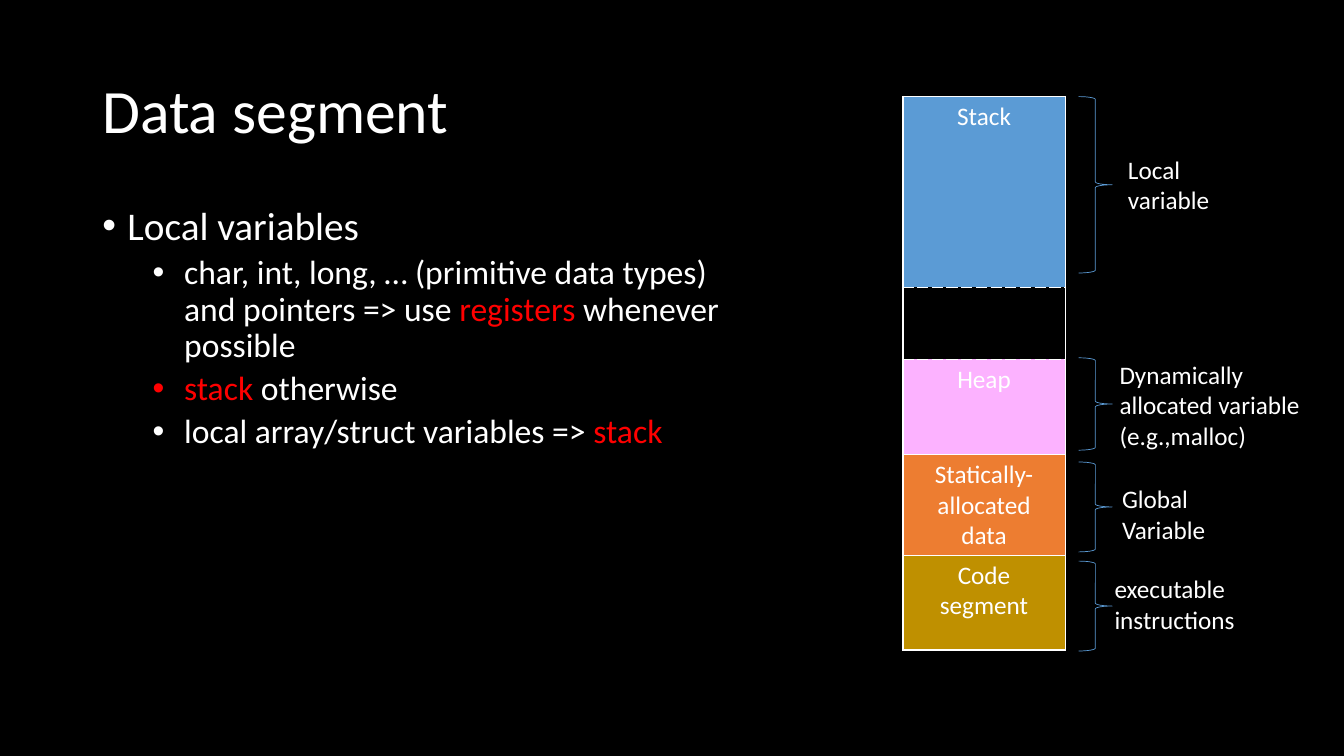
from dataclasses import dataclass

from lxml.etree import SubElement
from pptx import Presentation
from pptx.dml.color import RGBColor as RGB
from pptx.enum.shapes import MSO_SHAPE as SHAPE
from pptx.enum.text import MSO_ANCHOR as ANCHOR, PP_ALIGN as ALIGN
from pptx.oxml.ns import qn
from pptx.util import Inches, Pt


@dataclass(frozen=True)
class Theme:
    font: str = "Calibri"
    title: int = 44
    body: int = 28
    sub: int = 24
    label: int = 18
    back: str = "000000"
    text: str = "FFFFFF"
    accent: str = "FF0000"
    stack: str = "5B9BD5"
    heap: str = "FCB2FF"
    static: str = "ED7D31"
    code: str = "BF9000"


T = Theme()
CELL = 1 / 12  # inches; the slide is 160 columns by 90 rows
TOP = 11.5

# level, runs
BULLETS = [
    (0, [("Local variables", T.text)]),
    (1, [("char, int, long, … (primitive data types) and pointers => use ", T.text),
         ("registers", T.accent), (" whenever possible", T.text)]),
    (1, [("stack ", T.accent), ("otherwise", T.text)]),
    (1, [("local array/struct variables => ", T.text), ("stack", T.accent)]),
]
# size, indent, hanging, space before
LEVELS = [(T.body, 3, 3, 10), (T.sub, 9.75, 3.75, 5)]

# name, fill, height, dashed edges
SEGMENTS = [
    ("Stack", T.stack, 22.7, "B"),
    ("", None, 8.6, "TB"),
    ("Heap", T.heap, 11.3, "T"),
    ("Statically-allocated data", T.static, 11.3, ""),
    ("Code segment", T.code, 11.3, ""),
]

# brace top and height, label, label box
NOTES = [
    (TOP, 21, "Local variable", (133.1, 17.8, 12.8, 8.5)),
    (42.6, 11, "Dynamically allocated variable (e.g.,malloc)", (132.1, 42.2, 25.4, 12.1)),
    (55, 10.7, "Global Variable", (132.4, 57, 15.4, 8.5)),
    (66.8, 10.7, "executable instructions", (131.5, 67.7, 19.3, 8.5)),
]


def grid(*cells):
    return [Inches(n * CELL) for n in cells]


def add_run(p, text, size, color=T.text):
    r = p.add_run()
    r.text = text
    r.font.name, r.font.size = T.font, Pt(size)
    r.font.color.rgb = RGB.from_string(color)


def add_text_frame(s, box):
    tf = s.shapes.add_textbox(*grid(*box)).text_frame
    tf.word_wrap = True
    return tf


def add_title(s, text, box):
    tf = add_text_frame(s, box)
    tf.vertical_anchor = ANCHOR.MIDDLE
    p = tf.paragraphs[0]
    p.line_spacing = 0.9
    add_run(p, text, T.title)


def set_bullet(p, indent, hanging):
    pPr = p._p.get_or_add_pPr()
    left, hang = grid(indent, hanging)
    pPr.set("marL", str(left))
    pPr.set("indent", str(-hang))
    SubElement(pPr, qn("a:buFont"), typeface="Arial")
    SubElement(pPr, qn("a:buChar"), char="•")


def add_bullets(s, items, box):
    tf = add_text_frame(s, box)
    for i, (level, runs) in enumerate(items):
        p = tf.add_paragraph() if i else tf.paragraphs[0]
        size, indent, hanging, before = LEVELS[level]
        p.level, p.line_spacing, p.space_before = level, 0.9, Pt(before)
        set_bullet(p, indent, hanging)
        for text, color in runs:
            add_run(p, text, size, color)


def set_borders(cell, dashed):
    tcPr = cell._tc.get_or_add_tcPr()
    for edge in "LRTB":
        ln = SubElement(tcPr, qn(f"a:ln{edge}"), w=str(Pt(1)))
        fill = SubElement(ln, qn("a:solidFill"))
        SubElement(fill, qn("a:srgbClr"), val=T.text)
        SubElement(ln, qn("a:prstDash"), val="dash" if edge in dashed else "solid")


def add_memory_map(s, segments, left, top, width):
    height = sum(seg[2] for seg in segments)
    box = grid(left, top, width, height)
    table = s.shapes.add_table(len(segments), 1, *box).table
    table.first_row = table.horz_banding = False
    for i, (name, color, rows, dashed) in enumerate(segments):
        table.rows[i].height, = grid(rows)
        cell = table.cell(i, 0)
        set_borders(cell, dashed)
        if color:
            cell.fill.solid()
            cell.fill.fore_color.rgb = RGB.from_string(color)
        else:
            cell.fill.background()
        if name:
            p = cell.text_frame.paragraphs[0]
            p.alignment = ALIGN.CENTER
            add_run(p, name, T.label)


def add_brace(s, *box):
    sp = s.shapes.add_shape(SHAPE.RIGHT_BRACE, *grid(*box))
    sp.shadow.inherit = False
    sp.fill.background()
    sp.line.color.rgb = RGB.from_string(T.stack)
    sp.line.width = Pt(0.5)


def add_label(s, text, box):
    add_run(add_text_frame(s, box).paragraphs[0], text, T.label)


def main():
    prs = Presentation()
    prs.slide_width, prs.slide_height = grid(160, 90)
    s = prs.slides.add_slide(prs.slide_layouts[6])
    s.background.fill.solid()
    s.background.fill.fore_color.rgb = RGB.from_string(T.back)

    add_title(s, "Data segment", (11, 4.8, 138, 17.4))
    add_bullets(s, BULLETS, (11, 24, 81.25, 57.1))
    add_memory_map(s, SEGMENTS, 107.5, TOP, 19.3)
    for top, height, text, box in NOTES:
        add_brace(s, 128.4, top, 4, height)
        add_label(s, text, box)
    prs.save("out.pptx")


if __name__ == "__main__":
    main()
